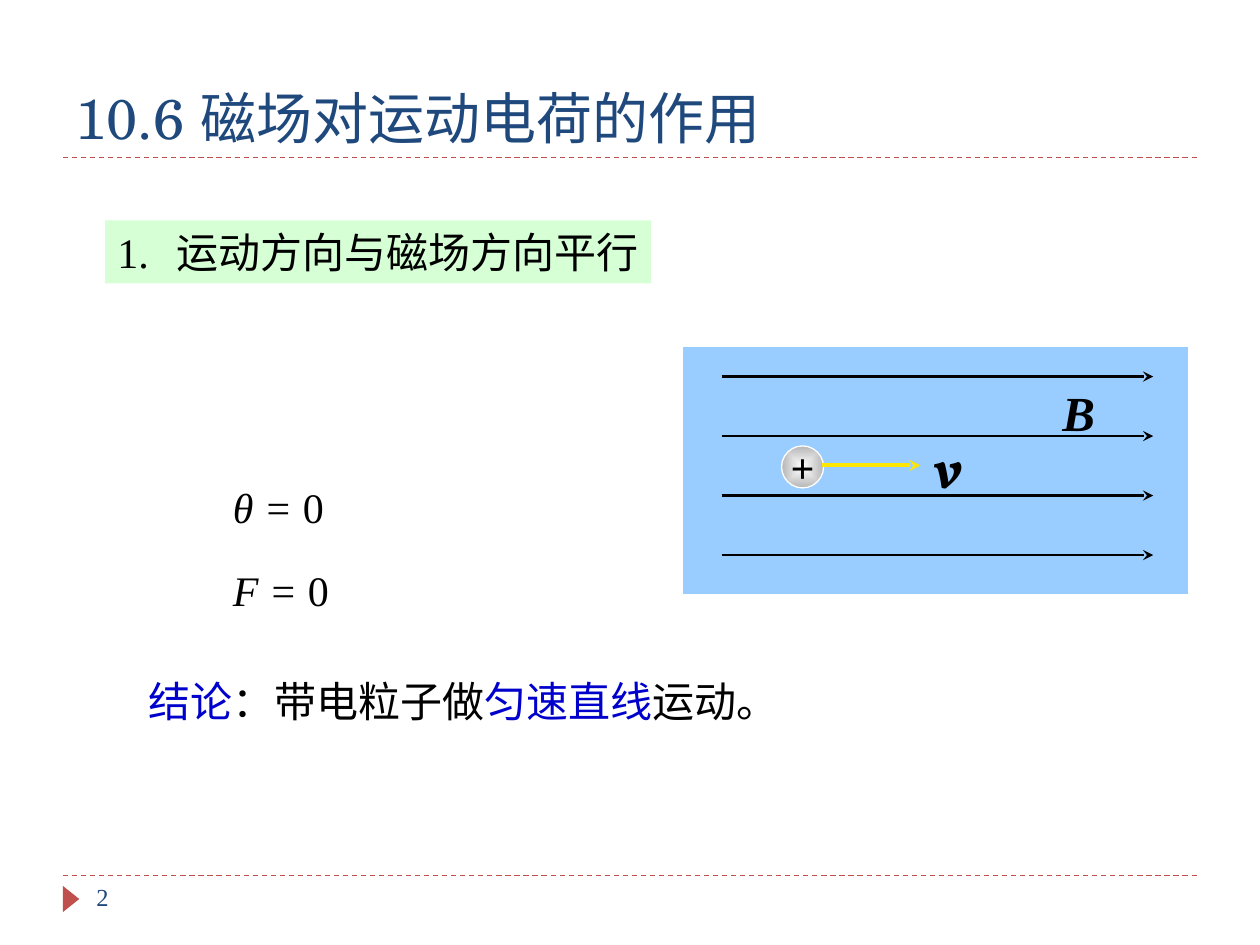
from dataclasses import dataclass
from typing import Optional

import pptx
import pptx.dml.color
import pptx.enum.dml
import pptx.enum.shapes
import pptx.enum.text
import pptx.oxml
import pptx.oxml.ns
import pptx.util
from lxml import etree

Pt = pptx.util.Pt
Shape = pptx.enum.shapes.MSO_SHAPE
Anchor = pptx.enum.text.MSO_ANCHOR
Align = pptx.enum.text.PP_ALIGN
qn = pptx.oxml.ns.qn

SERIF = "Times New Roman"
BLACK, WHITE, NAVY, RED, BLUE = "000000", "FFFFFF", "1F497D", "C0504D", "0000CC"


@dataclass
class Span:
    text: str
    color: str = BLACK
    italic: Optional[bool] = None


@dataclass
class Label:
    left: float
    top: float
    width: float
    height: float
    spans: list[Span]
    size: float = 24
    font: str = SERIF
    bold: bool = False
    wrap: bool = True


@dataclass
class Line:
    left: float
    right: float
    y: float
    color: str
    weight: float
    dashed: bool = False
    arrow: bool = False


def rgb(value: str) -> pptx.dml.color.RGBColor:
    return pptx.dml.color.RGBColor.from_string(value)


def write(frame, spans: list[Span], size: float, font: str = SERIF, bold: bool = False) -> None:
    para = frame.paragraphs[0]
    para.font.size = Pt(size)
    para.font.name = font
    para.font.bold = bold
    for item in spans:
        span = para.add_run()
        span.text = item.text
        span.font.color.rgb = rgb(item.color)
        span.font.italic = item.italic


def draw_label(shapes, label: Label) -> None:
    box = shapes.add_textbox(Pt(label.left), Pt(label.top), Pt(label.width), Pt(label.height))
    box.text_frame.word_wrap = label.wrap
    write(box.text_frame, label.spans, label.size, label.font, label.bold)


def draw_line(shapes, line: Line) -> None:
    connector = shapes.add_connector(
        pptx.enum.shapes.MSO_CONNECTOR.STRAIGHT,
        Pt(line.left), Pt(line.y), Pt(line.right), Pt(line.y))
    connector.line.color.rgb = rgb(line.color)
    connector.line.width = Pt(line.weight)
    if line.dashed:
        connector.line.dash_style = pptx.enum.dml.MSO_LINE.DASH
    if line.arrow:
        etree.SubElement(connector.line._get_or_add_ln(), qn("a:tailEnd"), type="stealth")
    etree.SubElement(connector._element.spPr, qn("a:effectLst"))


def draw_shape(shapes, kind, left: float, top: float, width: float, height: float,
               fill: str, outline: Optional[str] = None):
    shape = shapes.add_shape(kind, Pt(left), Pt(top), Pt(width), Pt(height))
    shape.shadow.inherit = False
    shape.fill.solid()
    shape.fill.fore_color.rgb = rgb(fill)
    if outline:
        shape.line.color.rgb = rgb(outline)
        shape.line.width = Pt(0.75)
    else:
        shape.line.fill.background()
    return shape


def shade_radially(shape, inner: str, outer: str) -> None:
    shape.fill.gradient()
    for stop, color in zip(shape.fill.gradient_stops, (inner, outer)):
        stop.color.rgb = rgb(color)
    gradient = shape._element.spPr.find(qn("a:gradFill"))
    gradient.remove(gradient.find(qn("a:lin")))
    shade = etree.SubElement(gradient, qn("a:path"), path="shape")
    etree.SubElement(shade, qn("a:fillToRect"), l="50000", t="50000", r="50000", b="50000")


def draw_frame(page) -> None:
    for y in (90, 500.4):
        draw_line(page.shapes, Line(36, 684, y, RED, 0.75, dashed=True))
    marker = draw_shape(page.shapes, Shape.ISOSCELES_TRIANGLE, 33.1, 509, 15, 9.4, RED)
    marker.rotation = 90
    draw_label(page.shapes, Label(48, 500.4, 156, 28.8, [Span("2", NAVY)], size=14))


def draw_title(page) -> None:
    title = page.shapes.title
    title.left, title.top, title.width, title.height = Pt(36), Pt(18), Pt(648), Pt(72)
    title.text_frame.vertical_anchor = Anchor.BOTTOM
    title.text_frame.paragraphs[0].alignment = Align.LEFT
    write(title.text_frame, [Span("10.6 磁场对运动电荷的作用", NAVY)], 32, "TeX Gyre Schola")


def draw_heading(page) -> None:
    heading = draw_shape(page.shapes, Shape.RECTANGLE, 60, 126, 312, 36, "CCFFCC")
    color = heading._element.spPr.find(qn("a:solidFill"))[0]
    etree.SubElement(color, qn("a:alpha"), val="80000")
    frame = heading.text_frame
    frame.word_wrap = False
    frame.vertical_anchor = Anchor.MIDDLE
    # A tab stop sets the gap after the number
    para = frame.paragraphs[0]
    para.alignment = Align.LEFT
    tabs = etree.SubElement(para._p.get_or_add_pPr(), qn("a:tabLst"))
    etree.SubElement(tabs, qn("a:tab"), pos=str(Pt(34)), algn="l")
    write(frame, [Span("1.\t运动方向与磁场方向平行")], 24)


def draw_field(page) -> None:
    shapes = page.shapes.add_group_shape().shapes
    draw_shape(shapes, Shape.RECTANGLE, 390, 198, 289, 142, "99CCFF", WHITE)
    for row in range(4):
        draw_line(shapes, Line(412.5, 659, 215.2 + 34 * row, BLACK, 1.5, arrow=True))

    # Charge and its velocity
    charge = draw_shape(shapes, Shape.OVAL, 446.6, 254.8, 24, 24, WHITE, WHITE)
    shade_radially(charge, WHITE, "B6B6B6")
    charge.text_frame.word_wrap = False
    charge.text_frame.vertical_anchor = Anchor.MIDDLE
    charge.text_frame.paragraphs[0].alignment = Align.CENTER
    write(charge.text_frame, [Span("+")], 24, bold=True)
    draw_line(shapes, Line(469.5, 526, 266, "FFE701", 2.25, arrow=True))

    draw_label(shapes, Label(600, 215.2, 33, 41, [Span("B", italic=True)], 28,
                             bold=True, wrap=False))
    draw_label(shapes, Label(526.3, 243.4, 32.4, 45.4, [Span("v", italic=True)], 32,
                             "Vollkorn", bold=True, wrap=False))


def draw_results(page) -> None:
    for top, symbol in ((271.4, "θ"), (319.2, "F")):
        equation = [Span(f"{symbol} = ", italic=True), Span("0")]
        draw_label(page.shapes, Label(126, top, 113, 36, equation))
    conclusion = [Span("结论", BLUE), Span("：带电粒子做"), Span("匀速直线", BLUE), Span("运动。")]
    draw_label(page.shapes, Label(78, 382.3, 374.4, 36, conclusion, wrap=False))


def main() -> None:
    deck = pptx.Presentation()
    deck.slide_width, deck.slide_height = Pt(720), Pt(540)
    page = deck.slides.add_slide(deck.slide_layouts[5])
    draw_frame(page)
    draw_title(page)
    draw_heading(page)
    draw_field(page)
    draw_results(page)
    deck.save("out.pptx")


if __name__ == "__main__":
    main()
